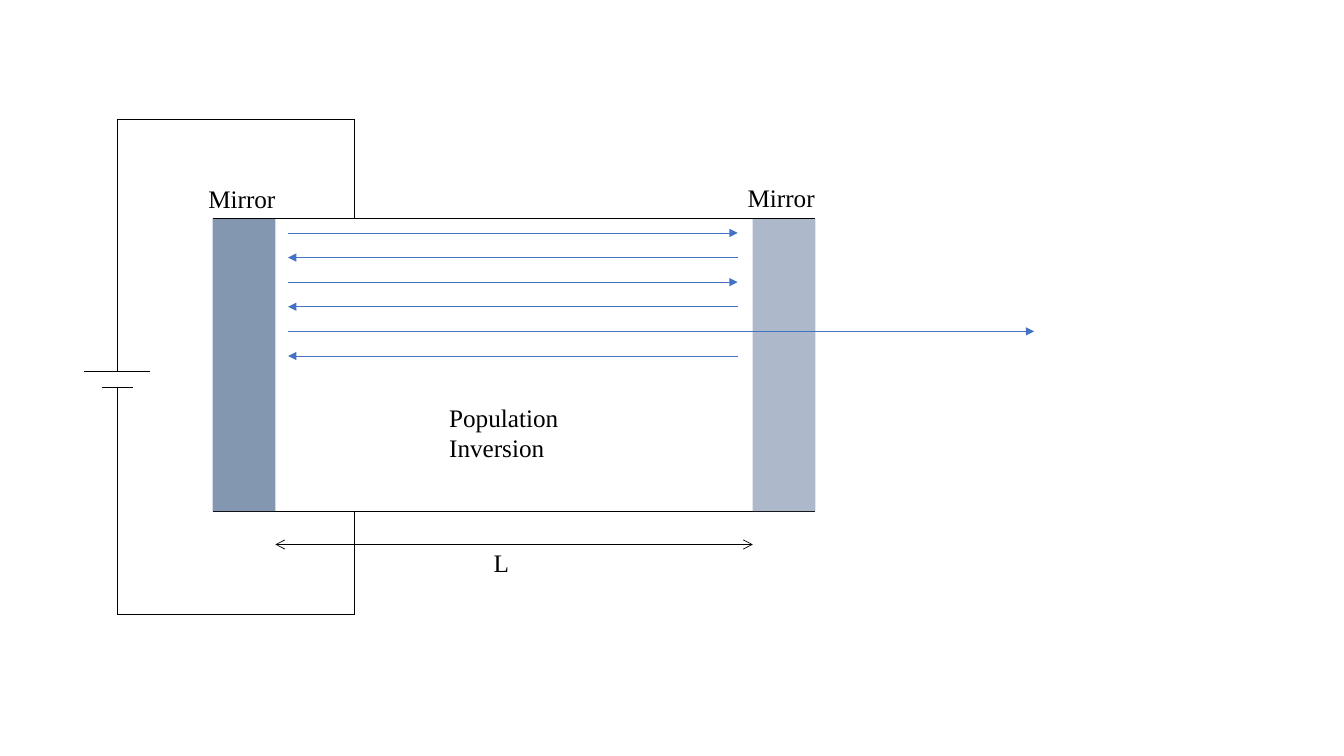
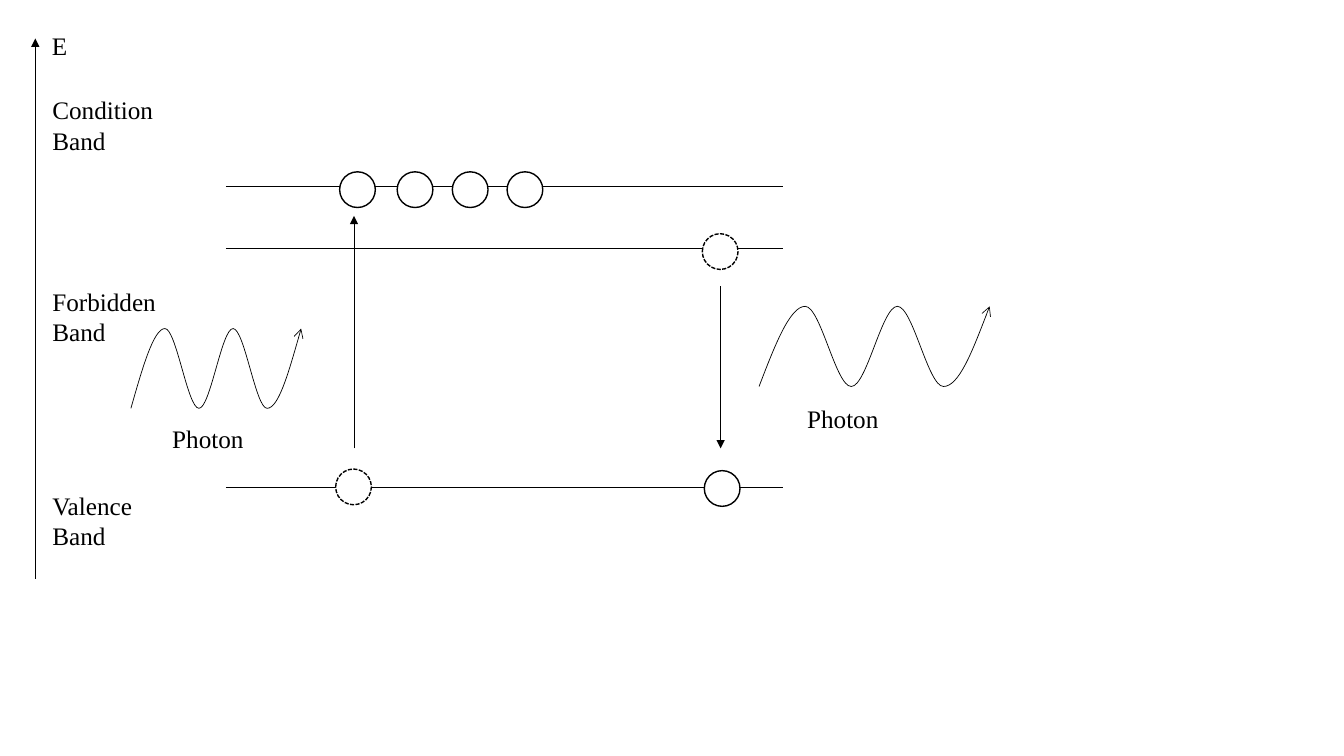
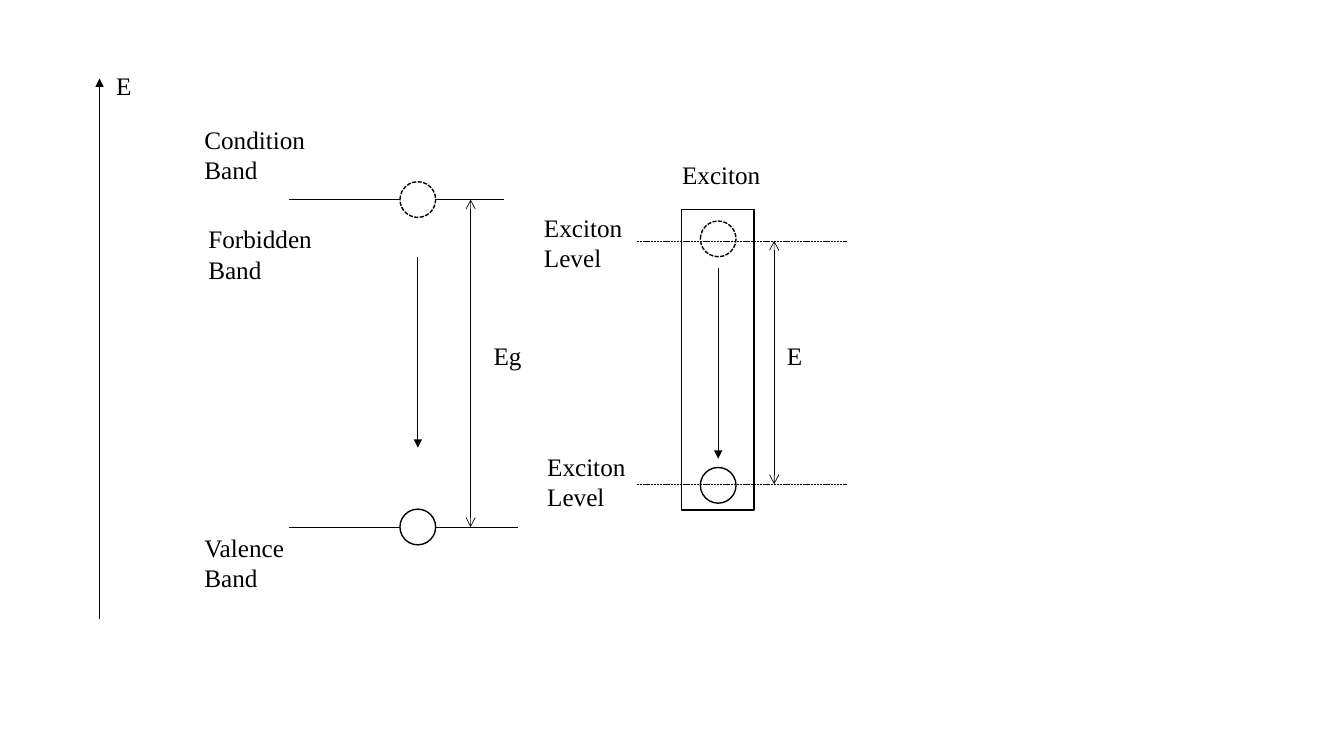
from itertools import pairwise

from lxml.etree import SubElement
from pptx import Presentation
from pptx.dml.color import RGBColor
from pptx.enum.dml import MSO_LINE
from pptx.enum.shapes import MSO_CONNECTOR, MSO_SHAPE
from pptx.enum.text import MSO_AUTO_SIZE
from pptx.oxml.ns import qn
from pptx.util import Cm, Pt

BLACK = "000000"
WHITE = "FFFFFF"
BEAM_BLUE = "4472C4"
FULL_MIRROR = "8497B0"
PARTIAL_MIRROR = "ADB9CA"
FONT = "Times New Roman"
LABEL_WIDTH = 3.53
ELECTRON_SIZE = 0.9


def paint(color_format, color):
    color_format.rgb = RGBColor.from_string(color)


def style_line(line, color=BLACK, width=0.5, dashed=False, head=None, tail=None):
    line.fill.solid()
    paint(line.fill.fore_color, color)
    line.width = Pt(width)
    if dashed:
        line.dash_style = MSO_LINE.SQUARE_DOT
    outline = line.fill._xPr
    for tag, kind in (("a:headEnd", head), ("a:tailEnd", tail)):
        if kind:
            SubElement(outline, qn(tag), type=kind)


def add_label(slide, text, left, top, *, size=18, color=BLACK, font=FONT):
    box = slide.shapes.add_textbox(Cm(left), Cm(top), Cm(LABEL_WIDTH), Cm(1.03))
    frame = box.text_frame
    frame.word_wrap = True
    frame.auto_size = MSO_AUTO_SIZE.SHAPE_TO_FIT_TEXT
    frame.text = text
    for paragraph in frame.paragraphs:
        paragraph.font.size = Pt(size)
        paragraph.font.name = font
        paint(paragraph.font.color, color)


def add_line(slide, start, end, **line_format):
    connector = slide.shapes.add_connector(
        MSO_CONNECTOR.STRAIGHT, *(Cm(value) for value in (*start, *end))
    )
    style_line(connector.line, **line_format)
    SubElement(connector._element.spPr, qn("a:effectLst"))


def add_arrow(slide, start, end, color=BLACK):
    add_line(slide, start, end, color=color, tail="triangle")


def add_dimension(slide, start, end):
    add_line(slide, start, end, head="arrow", tail="arrow")


def add_level(slide, left, right, y, dashed=False):
    add_line(slide, (left, y), (right, y), dashed=dashed)


def add_block(slide, kind, left, top, width, height, fill=None, outlined=False, dashed=False):
    block = slide.shapes.add_shape(kind, Cm(left), Cm(top), Cm(width), Cm(height))
    block.shadow.inherit = False
    if fill:
        block.fill.solid()
        paint(block.fill.fore_color, fill)
    else:
        block.fill.background()
    if outlined:
        style_line(block.line, width=1, dashed=dashed)
    else:
        block.line.fill.background()


def add_electron(slide, x, y, dashed=False):
    radius = ELECTRON_SIZE / 2
    add_block(slide, MSO_SHAPE.OVAL, x - radius, y - radius, ELECTRON_SIZE, ELECTRON_SIZE,
              fill=WHITE, outlined=True, dashed=dashed)


def add_energy_axis(slide, x, top):
    add_arrow(slide, (x, top + 13.61), (x, top))
    add_label(slide, "E", x + 0.17, top - 0.32)


def add_photon(slide, left, right, crest, trough):
    halves = 5
    step = (right - left) / halves
    middle = (crest + trough) / 2
    points = []
    for half in range(halves):
        begin, end = (trough, crest) if half % 2 == 0 else (crest, trough)
        x = left + half * step
        points += [
            (x + step / 3, middle if half == 0 else begin),
            (x + step * 2 / 3, middle if half == halves - 1 else end),
            (x + step, end),
        ]
    builder = slide.shapes.build_freeform(Cm(left), Cm(trough))
    builder.add_line_segments([(Cm(x), Cm(y)) for x, y in points], close=False)
    wave = builder.convert_to_shape()
    outline = wave._element.spPr.find(".//" + qn("a:path"))
    corners = outline.findall(qn("a:lnTo"))
    for first in range(0, len(corners), 3):
        curve = SubElement(outline, qn("a:cubicBezTo"))
        for corner in corners[first:first + 3]:
            curve.append(corner[0])
            outline.remove(corner)
    wave.shadow.inherit = False
    wave.fill.background()
    style_line(wave.line, tail="arrow")


def build_laser_cavity(slide):
    left, right, top, bottom = 5.36, 20.55, 5.51, 12.88
    mirror_width = 1.58
    inner_left, inner_right = left + mirror_width, right - mirror_width
    add_level(slide, left, right, bottom)
    for mirror_left, shade in ((left, FULL_MIRROR), (inner_right, PARTIAL_MIRROR)):
        add_block(slide, MSO_SHAPE.RECTANGLE, mirror_left, top, mirror_width, bottom - top, fill=shade)
    add_level(slide, left, right, top)
    add_label(slide, "Mirror", 5, 4.5)
    add_label(slide, "Mirror", 18.59, 4.47)

    beam_left, beam_right, escape = 7.26, 18.59, 26.06
    for index in range(6):
        y = 5.87 + index * 0.62
        near = (beam_left, y)
        far = (escape if index == 4 else beam_right, y)
        start, end = (near, far) if index % 2 == 0 else (far, near)
        add_arrow(slide, start, end, color=BEAM_BLUE)

    contact, battery = 8.92, 2.95
    long_plate, short_plate = 9.37, 9.75
    upper_wire = [(contact, top), (contact, 3), (battery, 3), (battery, long_plate)]
    lower_wire = [(battery, short_plate), (battery, 15.49), (contact, 15.49), (contact, bottom)]
    for wire in (upper_wire, lower_wire):
        for start, end in pairwise(wire):
            add_line(slide, start, end)
    for y, reach in ((long_plate, 0.84), (short_plate, 0.39)):
        add_level(slide, battery - reach, battery + reach, y)

    add_label(slide, "Population\nInversion", 11.07, 10.01)
    add_dimension(slide, (inner_left, 13.72), (inner_right, 13.72))
    add_label(slide, "L", 12.19, 13.67)


def build_photon_transitions(slide):
    conduction, metastable, valence = 4.7, 6.27, 12.27
    for y in (conduction, metastable, valence):
        add_level(slide, 5.69, 19.74, y)
    add_energy_axis(slide, 0.89, 0.97)
    for text, top in (("Condition Band", 2.26), ("Forbidden Band", 7.09), ("Valence Band", 12.22)):
        add_label(slide, text, 1.07, top)

    add_photon(slide, 3.3, 7.59, 8.28, 10.29)
    add_label(slide, "Photon", 4.09, 10.54)
    add_photon(slide, 19.13, 24.94, 7.72, 9.74)
    add_label(slide, "Photon", 20.09, 10.03)

    add_arrow(slide, (8.92, 11.3), (8.92, 5.44))
    add_arrow(slide, (18.16, 7.21), (18.16, 11.3))
    for x in (9.01, 10.46, 11.85, 13.23):
        add_electron(slide, x, conduction + 0.08)
    add_electron(slide, 18.2, valence + 0.04)
    add_electron(slide, 8.91, valence, dashed=True)
    add_electron(slide, 18.15, metastable + 0.07, dashed=True)


def build_exciton_levels(slide):
    add_energy_axis(slide, 2.51, 1.98)

    conduction, valence, carrier = 5.03, 13.28, 10.53
    add_level(slide, 7.29, 12.7, conduction)
    add_level(slide, 7.29, 13.06, valence)
    add_electron(slide, carrier, conduction, dashed=True)
    add_electron(slide, carrier, valence)
    add_arrow(slide, (carrier, 6.48), (carrier, 11.28))
    add_dimension(slide, (11.86, valence), (11.86, conduction))

    upper, lower, pair = 6.07, 12.2, 18.1
    add_electron(slide, pair, upper - 0.05, dashed=True)
    add_electron(slide, pair, lower + 0.03)
    add_arrow(slide, (pair, 6.76), (pair, 11.56))
    for y in (upper, lower):
        add_level(slide, 16.05, 21.34, y, dashed=True)
    add_block(slide, MSO_SHAPE.RECTANGLE, 17.17, 5.28, 1.83, 7.57, outlined=True)
    add_dimension(slide, (19.51, lower), (19.51, upper))

    for text, left, top in (
        ("Condition Band", 4.9, 3),
        ("Forbidden Band", 5, 5.51),
        ("Valence Band", 4.9, 13.28),
        ("Exciton", 16.94, 3.89),
        ("Exciton Level", 13.46, 5.23),
        ("Exciton Level", 13.54, 11.25),
        ("Eg", 12.19, 8.46),
        ("E", 19.58, 8.46),
    ):
        add_label(slide, text, left, top)


def main():
    deck = Presentation()
    deck.slide_width, deck.slide_height = Cm(33.87), Cm(19.05)
    for build in (build_laser_cavity, build_photon_transitions, build_exciton_levels):
        build(deck.slides.add_slide(deck.slide_layouts[6]))
    deck.save("out.pptx")


if __name__ == "__main__":
    main()
